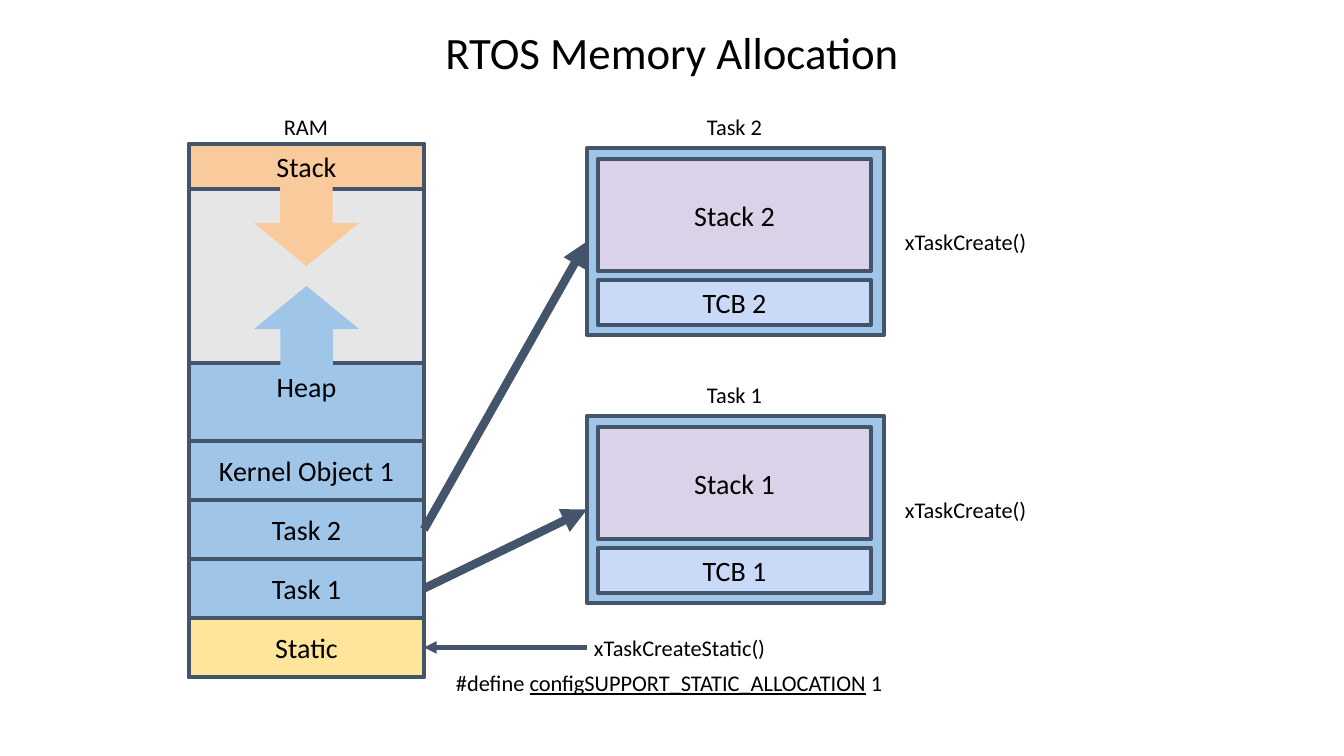
from dataclasses import dataclass

from pptx import Presentation
from pptx.dml.color import RGBColor
from pptx.enum.shapes import MSO_CONNECTOR as Connector, MSO_SHAPE as Shape
from pptx.enum.text import MSO_ANCHOR as Anchor, PP_ALIGN as Align
from pptx.oxml.ns import qn
from pptx.util import Emu, Pt
from lxml.etree import SubElement


@dataclass(frozen=True)
class Theme:
    font: str = "Calibri"
    text: str = "000000"
    outline: str = "44546A"
    free: str = "E7E6E6"
    heap: str = "9FC5E8"
    static: str = "FFE599"
    main_stack: str = "F9CB9C"
    tcb: str = "C9DAF8"
    task_stack: str = "D9D2E9"
    title_size: int = 32
    block_size: int = 20
    label_size: int = 16
    border: int = 3
    pointer: int = 6


THEME = Theme()

# Content
TITLE = "RTOS Memory Allocation"
RAM_LABEL, STACK_LABEL, HEAP_LABEL = "RAM", "Stack", "Heap"
MEMORY_ROWS = [
    ("Kernel Object 1", THEME.heap),
    ("Task 2", THEME.heap),
    ("Task 1", THEME.heap),
    ("Static", THEME.static),
]
TASKS = [  # name, stack, control block, creating call
    ("Task 2", "Stack 2", "TCB 2", "xTaskCreate()"),
    ("Task 1", "Stack 1", "TCB 1", "xTaskCreate()"),
]
STATIC_CALL = "xTaskCreateStatic()"
DEFINE = [("#define ", False), ("configSUPPORT_STATIC_ALLOCATION", True), (" 1", False)]

# Layout in px
PX = 914400 / 100.8
SLIDE_W, SLIDE_H = 1344, 756
INSET = 7
RAM_X, RAM_Y, RAM_W = 189, 144, 235
RAM_RIGHT = RAM_X + RAM_W
STACK_H = 45
HEAP_Y = 363
ROWS_Y, ROW_H = 441, 59
ROW_TOPS = {name: ROWS_Y + i * ROW_H for i, (name, _) in enumerate(MEMORY_ROWS)}
STATIC_Y = ROW_TOPS["Static"]
GROWTH_W, GROWTH_H = 105, 86
GROWTH_X = RAM_X + (RAM_W - GROWTH_W) // 2
TASK_X, TASK_Y, TASK_W, TASK_H, TASK_PITCH = 587, 148, 297, 187, 268
PART_X, PART_W = TASK_X + 11, 273


def px(value):
    return Emu(round(value * PX))


def color(value):
    return RGBColor.from_string(value)


def write(shape, runs, size, align=Align.CENTER, anchor=Anchor.MIDDLE):
    frame = shape.text_frame
    frame.word_wrap = True
    frame.vertical_anchor = anchor
    frame.margin_left = frame.margin_right = px(INSET)
    frame.margin_top = frame.margin_bottom = px(INSET)
    paragraph = frame.paragraphs[0]
    paragraph.alignment = align
    font = paragraph.font
    font.name, font.size = THEME.font, Pt(size)
    font.color.rgb = color(THEME.text)
    for text, underlined in runs:
        run = paragraph.add_run()
        run.text = text
        if underlined:
            run.font.underline = True


def add_label(box, text, size=THEME.label_size, align=Align.CENTER):
    write(shapes.add_textbox(*map(px, box)), [(text, False)], size, align)


def add_filled(kind, box, fill):
    shape = shapes.add_shape(kind, *map(px, box))
    shape.shadow.inherit = False
    shape.fill.solid()
    shape.fill.fore_color.rgb = color(fill)
    return shape


def add_block(box, fill, text="", anchor=Anchor.MIDDLE):
    block = add_filled(Shape.RECTANGLE, box, fill)
    block.line.color.rgb = color(THEME.outline)
    block.line.width = Pt(THEME.border)
    SubElement(block.line._get_or_add_ln(), qn("a:round"))
    if text:
        write(block, [(text, False)], THEME.block_size, anchor=anchor)


def add_growth(top, fill, rotation=0):
    arrow = add_filled(Shape.DOWN_ARROW, (GROWTH_X, top, GROWTH_W, GROWTH_H), fill)
    arrow.line.fill.background()
    arrow.rotation = rotation


def add_arrow(start, end, width):
    arrow = shapes.add_connector(Connector.STRAIGHT, *map(px, start + end))
    arrow.line.color.rgb = color(THEME.outline)
    arrow.line.width = Pt(width)
    SubElement(arrow.line._get_or_add_ln(), qn("a:tailEnd"), type="triangle")
    SubElement(arrow._element.spPr, qn("a:effectLst"))


prs = Presentation()
prs.slide_width, prs.slide_height = px(SLIDE_W), px(SLIDE_H)
shapes = prs.slides.add_slide(prs.slide_layouts[6]).shapes

add_label((0, 0, SLIDE_W, 104), TITLE, THEME.title_size)

# RAM column with stack and heap growing towards each other
add_label((193, 110, 226, 34), RAM_LABEL)
add_block((RAM_X, RAM_Y, RAM_W, STATIC_Y + ROW_H - RAM_Y), THEME.free)
add_block((RAM_X, HEAP_Y, RAM_W, STATIC_Y - HEAP_Y), THEME.heap, HEAP_LABEL, Anchor.TOP)
add_growth(286, THEME.heap, 180)
add_block((RAM_X, RAM_Y, RAM_W, STACK_H), THEME.main_stack, STACK_LABEL)
add_growth(180, THEME.main_stack)
for name, fill in MEMORY_ROWS:
    add_block((RAM_X, ROW_TOPS[name], RAM_W, ROW_H), fill, name)

# Task details, each pointed at by its row in RAM
for i, (name, stack, tcb, call) in enumerate(TASKS):
    top = TASK_Y + i * TASK_PITCH
    add_label((654, top - 44, 161, 45), name)
    add_block((TASK_X, top, TASK_W, TASK_H), THEME.heap)
    add_block((PART_X, top + 11, PART_W, 112), THEME.task_stack, stack)
    add_block((PART_X, top + 132, PART_W, 45), THEME.tcb, tcb)
    add_label((898, top + 65, 202, 58), call, align=Align.LEFT)
    add_arrow((RAM_RIGHT, ROW_TOPS[name] + ROW_H / 2),
              (TASK_X, top + TASK_H / 2), THEME.pointer)

# Static allocation
add_label((TASK_X, STATIC_Y, 253, ROW_H), STATIC_CALL, align=Align.LEFT)
static_mid = STATIC_Y + ROW_H / 2
add_arrow((TASK_X, static_mid), (RAM_RIGHT, static_mid), THEME.border)
define_box = shapes.add_textbox(*map(px, (449, 662, 827, 34)))
write(define_box, DEFINE, THEME.label_size, Align.LEFT, Anchor.TOP)

prs.save("out.pptx")
